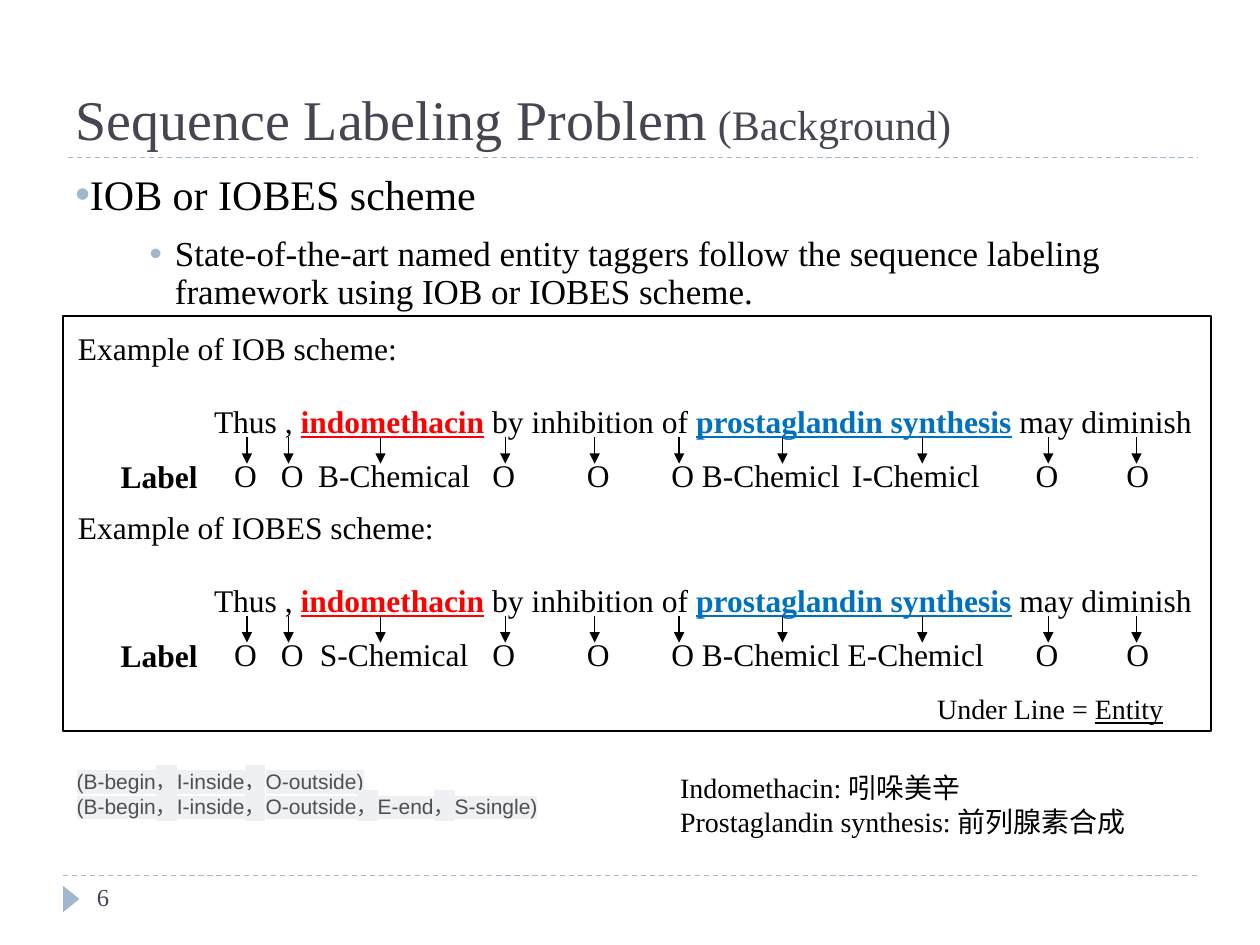
from lxml.etree import SubElement
from pptx import Presentation
from pptx.dml.color import RGBColor
from pptx.enum.dml import MSO_LINE_DASH_STYLE as Dash
from pptx.enum.shapes import MSO_CONNECTOR, MSO_SHAPE
from pptx.enum.text import MSO_ANCHOR as Anchor
from pptx.oxml import parse_xml
from pptx.oxml.ns import nsdecls, qn
from pptx.util import Inches, Pt

# Content: a paragraph is a list of (text, format) spans
BLACK, SLATE, BLUE_GREY = "000000", "464653", "9FB8CD"
TITLE = [("Sequence Labeling Problem", {"size": 32}), (" (Background)", {"size": 24})]
BULLETS = [
    ("IOB or IOBES scheme", 24, 0, 0, 0),
    ("State-of-the-art named entity taggers follow the sequence labeling "
     "framework using IOB or IOBES scheme.", 20, 0.79, -0.2, 10),
]
SENTENCE = [
    ("Thus , ", {}),
    ("indomethacin", {"color": "FF0000", "bold": True, "underline": True}),
    (" by inhibition of ", {}),
    ("prostaglandin synthesis", {"color": "0070C0", "bold": True, "underline": True}),
    (" may diminish", {}),
]
SCHEMES = [
    ("Example of IOB scheme:",
     ["O", "O", "B-Chemical", "O", "O", "O", "B-Chemicl", "I-Chemicl", "O", "O"]),
    ("Example of IOBES scheme:",
     ["O", "O", "S-Chemical", "O", "O", "O", "B-Chemicl", "E-Chemicl", "O", "O"]),
]
LEGEND = [("Under Line = ", {}), ("Entity", {"underline": True})]
TAG_KEY = ["(B-begin，I-inside，O-outside)",
           "(B-begin，I-inside，O-outside，E-end，S-single)"]
GLOSSARY = ["Indomethacin: 吲哚美辛", "Prostaglandin synthesis: 前列腺素合成"]

# Horizontal centres of the arrows and of the tags beneath them
ARROW_X = [1.96, 2.29, 3.02, 4.01, 4.72, 5.39, 6.21, 7.32, 8.32, 9.02]
TAG_X = [1.95, 2.32, 3.13, 4.0, 4.75, 5.42, 6.12, 7.27, 8.31, 9.03]
SCHEME_TOP, SCHEME_STEP = 2.56, 1.42
INSET = 0.1

deck = Presentation()
deck.slide_width, deck.slide_height = Inches(10), Inches(7.5)
page = deck.slides.add_slide(deck.slide_layouts[6])


def rgb(value):
    return RGBColor.from_string(value)


def add_span(para, text, size=18, color=BLACK, font="Times New Roman",
             bold=False, underline=False, highlight=None):
    span = para.add_run()
    span.text = text
    span.font.name, span.font.size = font, Pt(size)
    span.font.bold, span.font.underline = bold, underline
    span.font.color.rgb = rgb(color)
    if highlight:
        mark = parse_xml(f'<a:highlight {nsdecls("a")}><a:srgbClr val="{highlight}"/></a:highlight>')
        span.font.fill._xPr.find(qn("a:solidFill")).addnext(mark)


def add_text(left, top, width, height, paras, anchor=Anchor.TOP, inset=0.05, **style):
    """Add a text box; each paragraph is a string or a list of spans."""
    box = page.shapes.add_textbox(*map(Inches, (left, top, width, height)))
    frame = box.text_frame
    frame.word_wrap, frame.vertical_anchor = True, anchor
    frame.margin_top = frame.margin_bottom = Inches(inset)
    for index, spans in enumerate(paras):
        para = frame.add_paragraph() if index else frame.paragraphs[0]
        for text, own in [(spans, {})] if isinstance(spans, str) else spans:
            add_span(para, text, **{**style, **own})
    return frame


def add_line(x1, y1, x2, y2, color=BLACK, dash=None, arrow=False):
    line = page.shapes.add_connector(MSO_CONNECTOR.STRAIGHT, *map(Inches, (x1, y1, x2, y2)))
    line.line.color.rgb, line.line.width = rgb(color), Pt(0.75)
    if dash:
        line.line.dash_style = dash
    if arrow:
        SubElement(line.line._get_or_add_ln(), qn("a:tailEnd"), type="triangle")
    SubElement(line._element.spPr, qn("a:effectLst"))


def add_shape(kind, left, top, width, height, fill=None, line=None):
    shape = page.shapes.add_shape(kind, *map(Inches, (left, top, width, height)))
    shape.shadow.inherit = False
    for part, color in ((shape.fill, fill), (shape.line.fill, line)):
        if color:
            part.solid()
            part.fore_color.rgb = rgb(color)
        else:
            part.background()
    return shape


def set_bullet(para, margin, indent):
    props = para._p.get_or_add_pPr()
    props.set("marL", str(Inches(margin)))
    props.set("indent", str(Inches(indent)))
    color = SubElement(props, qn("a:buClr"))
    SubElement(color, qn("a:srgbClr"), val=BLUE_GREY)
    SubElement(props, qn("a:buFont"), typeface="Arial")
    SubElement(props, qn("a:buChar"), char="•")


def set_centre_tabs(para, positions):
    tabs = SubElement(para._p.get_or_add_pPr(), qn("a:tabLst"))
    for position in positions:
        SubElement(tabs, qn("a:tab"), pos=str(Inches(position)), algn="ctr")


# Page furniture
add_shape(MSO_SHAPE.ISOSCELES_TRIANGLE, 0.46, 7.07, 0.21, 0.13, fill=BLUE_GREY).rotation = 90
add_line(0.54, 1.25, 9.51, 1.25, BLUE_GREY, Dash.DASH)
add_line(0.5, 6.95, 9.5, 6.95, BLUE_GREY, Dash.DASH)
add_text(0.67, 6.95, 2.17, 0.4, ["6"], size=14, color=SLATE)

# Title and bullets
add_text(0.5, 0.17, 9, 1.08, [TITLE], Anchor.BOTTOM, color=SLATE)
body = add_text(0.5, 1.33, 9, 1.18, [[(text, {"size": size})] for text, size, *_ in BULLETS])
for para, (_, _, margin, indent, space) in zip(body.paragraphs, BULLETS):
    para.line_spacing, para.space_before = 0.9, Pt(space)
    set_bullet(para, margin, indent)

# Framed examples, one block per scheme
frame_box = add_shape(MSO_SHAPE.RECTANGLE, 0.5, 2.51, 9.11, 3.29, line=BLACK)
frame_box.line.width = Pt(1)
tags_left = 0.89
for row, (heading, tags) in enumerate(SCHEMES):
    top = SCHEME_TOP + row * SCHEME_STEP
    add_text(0.52, top, 4.28, 0.4, [heading])
    add_text(1.6, top + 0.58, 8.01, 0.4, [SENTENCE])
    add_text(0.86, top + 1.02, 1.1, 0.4, ["Label"], bold=True)
    tag_line = add_text(tags_left, top + 1.01, 8.45, 0.4, ["".join("\t" + tag for tag in tags)])
    set_centre_tabs(tag_line.paragraphs[0], [x - tags_left - INSET for x in TAG_X])
    for x in ARROW_X:
        add_line(x, top + 0.91, x, top + 1.12, arrow=True)
add_text(7.34, 5.44, 2.04, 0.37, [LEGEND], size=16)

# Notes under the frame
add_text(5.3, 6.07, 4.7, 0.64, GLOSSARY, size=16)
add_text(0.51, 6, 4.7, 0.61, TAG_KEY, inset=0.1, size=12, font="Arial",
         color="4F4F4F", highlight="EEF0F4")

deck.save("out.pptx")
